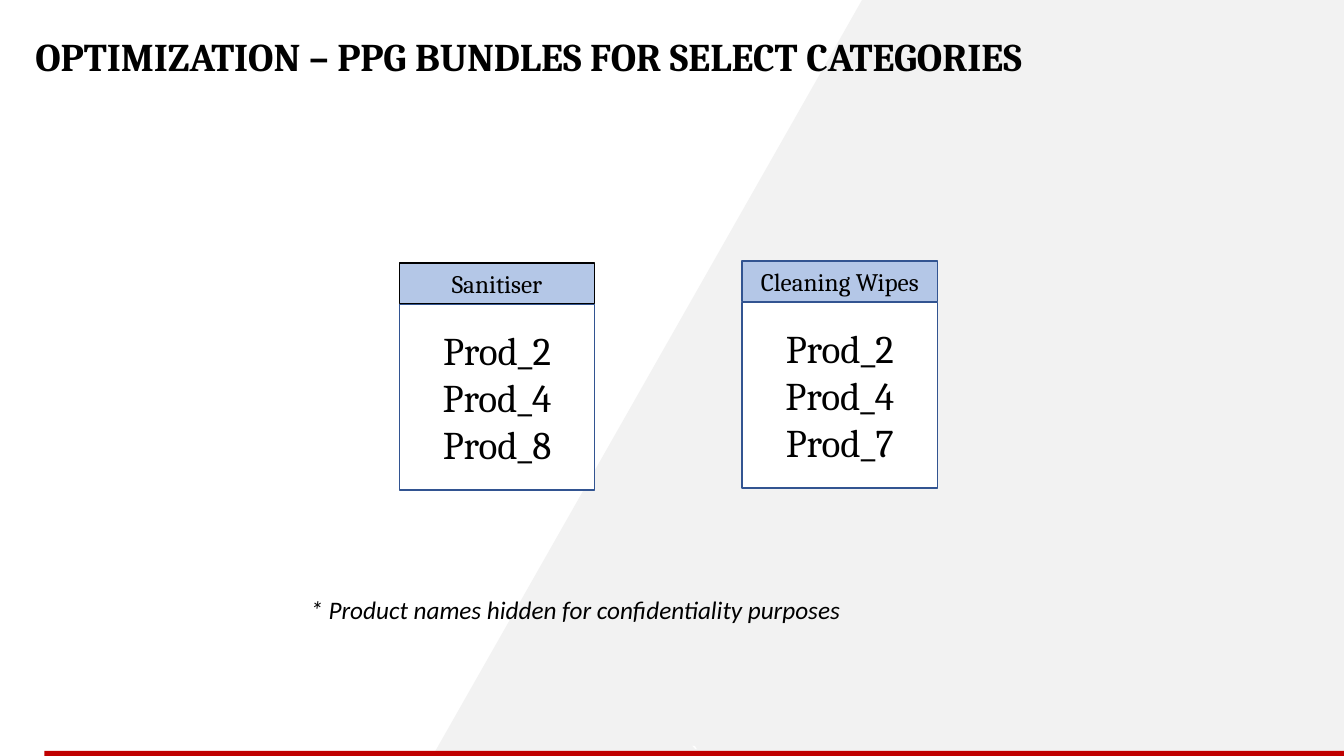
"""Builds the slide of product bundles for two categories."""
from pptx import Presentation, util as u
from pptx.dml.color import RGBColor
from pptx.enum import shapes, text

PX = 9144
BLACK = RGBColor(0, 0, 0)
WHITE = RGBColor(255, 255, 255)
GREY = RGBColor(0xF2, 0xF2, 0xF2)
SKY = RGBColor(0xB4, 0xC7, 0xE7)
NAVY = RGBColor(0x32, 0x54, 0x91)
RED = RGBColor(0xC0, 0, 0)
SERIF, SANS = "Cambria", "Calibri"
WIDE, HIGH = 1333, 750


class Slide:
    def __init__(self, deck):
        self.page = deck.slides.add_slide(deck.slide_layouts[5])
        self.shapes = self.page.shapes

    def label(self, frame, words, size, font=SERIF, color=BLACK,
              align=text.PP_ALIGN.CENTER, anchor=text.MSO_ANCHOR.MIDDLE,
              bold=False, italic=False):
        frame.text = words
        frame.word_wrap = True
        frame.vertical_anchor = anchor
        for para in frame.paragraphs:
            para.alignment = align
            for run in para.runs:
                run.font.size = u.Pt(size)
                run.font.name = font
                run.font.color.rgb = color
                run.font.bold = bold
                run.font.italic = italic

    def paint(self, shape, fill, line=None):
        shape.shadow.inherit = False
        shape.fill.solid()
        shape.fill.fore_color.rgb = fill
        if line is None:
            shape.line.fill.background()
        else:
            shape.line.color.rgb = line
            shape.line.width = u.Pt(1)

    def title(self, x, y, w, h, words):
        head = self.shapes.title
        head.left, head.top, head.width, head.height = (
            n * PX for n in (x, y, w, h))
        self.label(head.text_frame, words, 28, bold=True,
                   align=text.PP_ALIGN.LEFT, anchor=text.MSO_ANCHOR.TOP)
        head.text_frame.auto_size = text.MSO_AUTO_SIZE.SHAPE_TO_FIT_TEXT

    def back(self, points, fill):
        pen = self.shapes.build_freeform(*points[0], scale=PX)
        pen.add_line_segments(points[1:], close=True)
        shape = pen.convert_to_shape()
        self.paint(shape, fill)
        self.shapes.title.element.addprevious(shape.element)

    def box(self, x, y, w, h, words, size, fill, line=None, **style):
        shape = self.shapes.add_shape(
            shapes.MSO_SHAPE.RECTANGLE, x * PX, y * PX, w * PX, h * PX)
        self.paint(shape, fill, line)
        self.label(shape.text_frame, words, size, **style)

    def card(self, x, y, name, items, edge):
        self.box(x, y, 194, 40, name, 18, SKY, edge)
        self.box(x, y + 41, 194, 184, "\n".join(items), 28, WHITE, NAVY)

    def note(self, x, y, w, h, words):
        area = self.shapes.add_textbox(x * PX, y * PX, w * PX, h * PX)
        self.label(area.text_frame, words, 18, SANS, italic=True,
                   align=text.PP_ALIGN.LEFT, anchor=text.MSO_ANCHOR.TOP)


def main():
    deck = Presentation()
    deck.slide_width, deck.slide_height = WIDE * PX, HIGH * PX
    slide = Slide(deck)
    slide.back([(855, 0), (WIDE, 0), (WIDE, HIGH), (429, HIGH)], GREY)
    slide.title(25, 27, 1268, 57,
                "OPTIMIZATION – PPG BUNDLES FOR SELECT CATEGORIES")
    slide.card(396, 261, "Sanitiser", ["Prod_2", "Prod_4", "Prod_8"], BLACK)
    slide.card(736, 259, "Cleaning Wipes", ["Prod_2", "Prod_4", "Prod_7"], NAVY)
    slide.box(44, 745, WIDE - 44, 5, "`", 18, RED, font=SANS, color=WHITE)
    slide.note(298, 585, 759, 40,
               "* Product names hidden for confidentiality purposes")
    deck.save("out.pptx")


if __name__ == "__main__":
    main()
